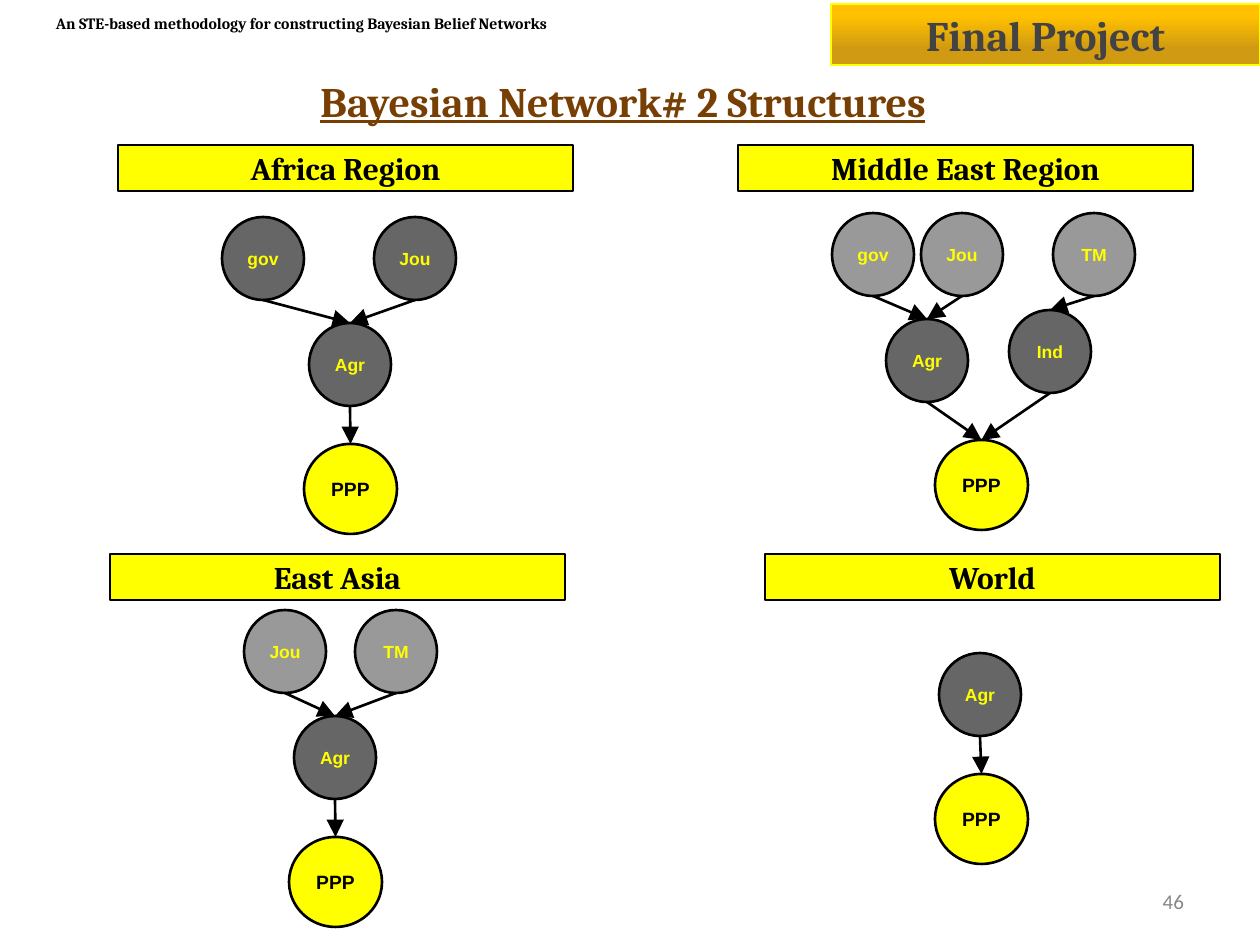
from lxml import etree
from pptx import Presentation
from pptx.dml.color import RGBColor
from pptx.enum.shapes import MSO_CONNECTOR, MSO_SHAPE
from pptx.enum.text import MSO_ANCHOR, MSO_AUTO_SIZE, PP_ALIGN
from pptx.oxml.ns import qn
from pptx.util import Pt

PX = 914400 / 126
OVAL, RECT, ROUND = MSO_SHAPE.OVAL, MSO_SHAPE.RECTANGLE, MSO_SHAPE.ROUNDED_RECTANGLE
STRAIGHT = MSO_CONNECTOR.STRAIGHT
MIDDLE, NO_FIT = MSO_ANCHOR.MIDDLE, MSO_AUTO_SIZE.NONE
LEFT, CENTER, RIGHT = PP_ALIGN.LEFT, PP_ALIGN.CENTER, PP_ALIGN.RIGHT
rgb = RGBColor.from_string


def write(sp, text, color, size, align=CENTER, wrap=True, **fmt):
    tf = sp.text_frame
    frame = {"auto_size": NO_FIT, "word_wrap": wrap, "vertical_anchor": MIDDLE}
    frame.update({f"margin_{side}": round(13 * PX) for side in ("left", "top", "right", "bottom")})
    for name, value in frame.items():
        setattr(tf, name, value)
    p = tf.paragraphs[0]
    p.alignment = align
    r = p.add_run()
    r.text = text
    r.font.color.rgb = rgb(color)
    for name, value in {"size": Pt(size), "name": "Cambria", "bold": True, **fmt}.items():
        setattr(r.font, name, value)


def add_box(kind, box, fill, line, width):
    sp = s.shapes.add_shape(kind, *[round(v * PX) for v in box])
    sp.shadow.inherit = False
    if fill:
        sp.fill.solid()
        sp.fill.fore_color.rgb = rgb(fill)
    sp.line.color.rgb = rgb(line)
    sp.line.width = Pt(width)
    return sp


prs = Presentation()
prs.slide_width, prs.slide_height = round(1260 * PX), round(945 * PX)
s = prs.slides.add_slide(prs.slide_layouts[5])

title = s.shapes.title
place = {"left": 0, "top": 67, "width": 1246, "height": 67}
for name, value in place.items():
    setattr(title, name, round(value * PX))
write(title, "Bayesian Network# 2 Structures", "783F04", 24, underline=True)

regions = [
    ("Africa Region", 118, 145),
    ("Middle East Region", 738, 145),
    ("East Asia", 110, 554),
    ("World", 765, 554),
]
for text, x, y in regions:
    sp = add_box(RECT, (x, y, 455, 46), "FFFF00", "000000", 0.75)
    write(sp, text, "000000", 18)

DARK, LIGHT, GOAL = "666666", "999999", "FFFF00"
networks = [
    ([("gov", 222, 217, DARK), ("Jou", 374, 217, DARK),
      ("Agr", 309, 323, DARK), ("PPP", 304, 444, GOAL)],
     ["gov Agr", "Jou Agr", "Agr PPP"]),
    ([("gov", 832, 213, LIGHT), ("Jou", 921, 213, LIGHT), ("TM", 1053, 213, LIGHT),
      ("Agr", 886, 319, DARK), ("Ind", 1009, 310, DARK), ("PPP", 935, 440, GOAL)],
     ["gov Agr", "Jou Agr", "TM Ind", "Agr PPP", "Ind PPP"]),
    ([("Jou", 244, 610, LIGHT), ("TM", 355, 610, LIGHT),
      ("Agr", 294, 716, DARK), ("PPP", 289, 837, GOAL)],
     ["Jou Agr", "TM Agr", "Agr PPP"]),
    ([("Agr", 939, 653, DARK), ("PPP", 935, 774, GOAL)],
     ["Agr PPP"]),
]
for nodes, edges in networks:
    placed = {}
    for text, x, y, fill in nodes:
        w, h, color, size = (93, 90, "000000", 11) if fill == GOAL else (82, 83, "FFFF00", 10)
        sp = add_box(OVAL, (x, y, w, h), fill, "000000", 1.5)
        write(sp, text, color, size, wrap=False, name="Arial")
        placed[text] = sp
    for edge in edges:
        a, b = [placed[name] for name in edge.split()]
        cxn = s.shapes.add_connector(STRAIGHT, a.left + a.width // 2, a.top + a.height,
                                     b.left + b.width // 2, b.top)
        cxn.line.color.rgb = rgb("000000")
        cxn.line.width = Pt(1.5)
        ln = cxn.line._get_or_add_ln()
        etree.SubElement(ln, qn("a:tailEnd"), type="triangle", w="lg", len="lg")
        etree.SubElement(cxn._element.spPr, qn("a:effectLst"))

labels = [
    ("46", (903, 876, 294, 50), RIGHT, "888888", 12, {"name": "Calibri", "bold": False}),
    ("An STE-based methodology for constructing Bayesian Belief Networks",
     (43, 9, 771, 28), LEFT, "000000", 9, {}),
]
for text, box, align, color, size, fmt in labels:
    sp = s.shapes.add_textbox(*[round(v * PX) for v in box])
    write(sp, text, color, size, align, **fmt)

sp = add_box(ROUND, (831, 4, 429, 61), None, "FFFF00", 0.75)
sp.adjustments[0] = 0
sp.fill.gradient()
sp.fill.gradient_angle = 90
for stop, (position, color) in zip(sp.fill.gradient_stops, [(0.27, "D09A12"), (0.79, "FFC000")]):
    stop.position = position
    stop.color.rgb = rgb(color)
write(sp, "Final Project", "434343", 24)

prs.save("out.pptx")
